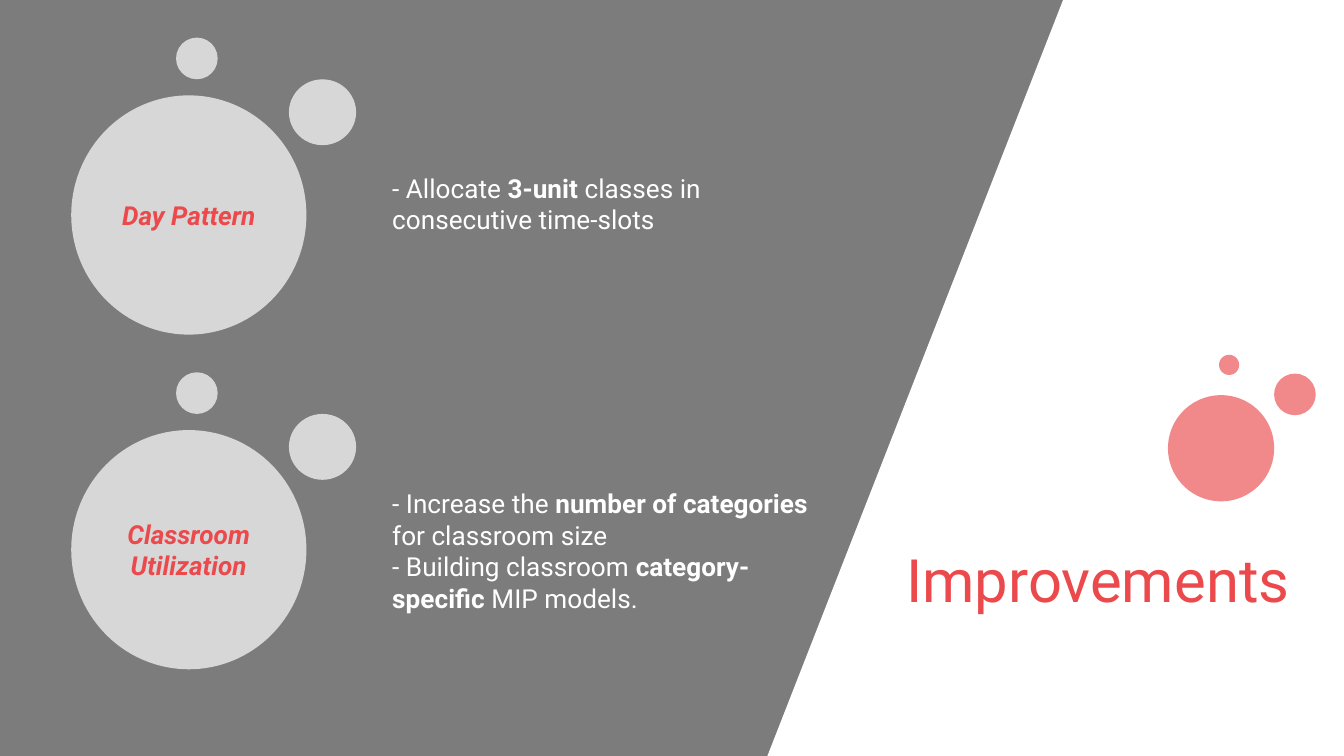
from dataclasses import dataclass

from lxml import etree
from pptx import Presentation
from pptx.dml.color import RGBColor
from pptx.enum.shapes import MSO_SHAPE
from pptx.enum.text import MSO_ANCHOR, PP_ALIGN
from pptx.oxml.ns import qn
from pptx.util import Pt

OVAL, RECT = MSO_SHAPE.OVAL, MSO_SHAPE.RECTANGLE
TOP, MIDDLE = MSO_ANCHOR.TOP, MSO_ANCHOR.MIDDLE
LEFT, CENTER = PP_ALIGN.LEFT, PP_ALIGN.CENTER
SCALE = 4572
WIDE, HIGH = 2000, 1125


@dataclass(frozen=True)
class Theme:
    font: str = "Roboto"
    red: str = "EB494B"
    white: str = "FFFFFF"
    dark: str = "3F3F3F"
    title: int = 32
    body: int = 14


THEME = Theme()
LARGE = [(0, 86, 350, 356), (324, 62, 100, 98), (156, 0, 62, 62)]
SMALL = [(0, 60, 158, 158), (158, 28, 62, 62), (76, 0, 30, 30)]
TOPICS = [
    ("Day Pattern", 56, (564, 236, 664, 126),
     ["- Allocate **3-unit **classes in consecutive time-slots"]),
    ("Classroom Utilization", 554, (564, 706, 664, 232),
     ["- Increase the **number of categories **for classroom size",
      "- Building classroom **category-specific** MIP models."]),
]


def px(*vals):
    return [round(val * SCALE) for val in vals]


def paint(shape, color, alpha=100):
    shape.shadow.inherit = False
    shape.line.fill.background()
    shape.fill.solid()
    shape.fill.fore_color.rgb = RGBColor.from_string(color)
    if alpha < 100:
        tone = shape.fill._xPr.find(".//" + qn("a:srgbClr"))
        etree.SubElement(tone, qn("a:alpha"), val=str(alpha * 1000))


def write(shape, lines, size=THEME.body, color=THEME.white, align=LEFT,
          anchor=TOP, pad=(20, 20), bold=False, italic=False):
    frame = shape.text_frame
    frame.word_wrap = True
    frame.vertical_anchor = anchor
    frame.margin_left = frame.margin_right = px(pad[0])[0]
    frame.margin_top = frame.margin_bottom = px(pad[1])[0]
    for row, line in enumerate(lines):
        para = frame.add_paragraph() if row else frame.paragraphs[0]
        para.alignment = align
        for part, words in enumerate(line.split("**")):
            run = para.add_run()
            run.text = words
            font = run.font
            font.name, font.size = THEME.font, Pt(size)
            font.bold, font.italic = bold or part % 2 == 1, italic
            font.color.rgb = RGBColor.from_string(color)


def backdrop(slide, box):
    left, top, wide, high = box
    paint(slide.shapes.add_shape(RECT, *px(*box)), THEME.dark, 68)
    path = slide.shapes.build_freeform(left + 1582, top, scale=SCALE)
    path.add_line_segments([(left + wide, top), (left + wide, top + high),
                            (left + 1142, top + high)])
    paint(path.convert_to_shape(), THEME.white)


def bubbles(slide, left, top, spots, color, alpha):
    group = slide.shapes.add_group_shape()
    balls = []
    for x, y, wide, high in spots:
        ball = group.shapes.add_shape(OVAL, *px(left + x, top + y, wide, high))
        paint(ball, color, alpha)
        balls.append(ball)
    return balls[0]


def heading(slide, box):
    left, top, wide, high = box
    label = slide.shapes.add_textbox(*px(left, top + 270, wide, high - 270))
    write(label, ["Improvements"], size=THEME.title, color=THEME.red,
          align=CENTER, anchor=MIDDLE, pad=(20, 10))
    bubbles(slide, left + 470, top, SMALL, THEME.red, 65)


def topic(slide, left, name, top, box, lines):
    ball = bubbles(slide, left, top, LARGE, THEME.white, 70)
    write(ball, [name], color=THEME.red, align=CENTER, anchor=MIDDLE,
          pad=(20, 10), bold=True, italic=True)
    write(slide.shapes.add_textbox(*px(*box)), lines)


def main():
    deck = Presentation()
    deck.slide_width, deck.slide_height = px(WIDE, HIGH)
    slide = deck.slides.add_slide(deck.slide_layouts[6])
    backdrop(slide, (0, 0, WIDE, HIGH))
    heading(slide, (1268, 528, 732, 396))
    for item in TOPICS:
        topic(slide, 106, *item)
    deck.save("out.pptx")


if __name__ == "__main__":
    main()
